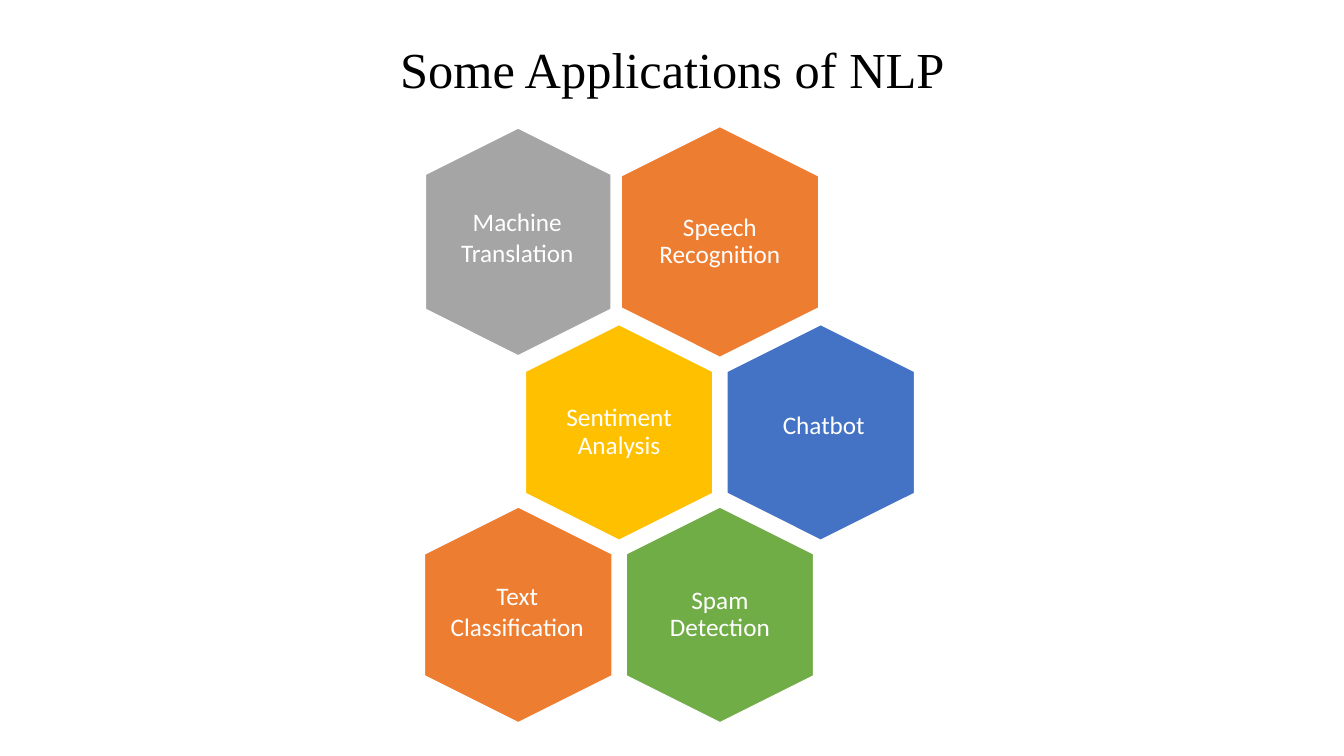
from pptx import Presentation
from pptx.dml.color import RGBColor
from pptx.enum.shapes import MSO_SHAPE
from pptx.enum.text import MSO_ANCHOR, PP_ALIGN
from pptx.util import Inches, Pt

HEXAGON = MSO_SHAPE.HEXAGON
CENTER = PP_ALIGN.CENTER
TOP, MIDDLE = MSO_ANCHOR.TOP, MSO_ANCHOR.MIDDLE

TITLE = "Some Applications of NLP"
SMALL, MEDIUM, LARGE = (2.14, 1.86), (2.26, 1.84), (2.29, 1.96)
TIGHT = {"line_spacing": 0.9, "inset": 0.07}
LOOSE = {"line_spacing": 1.0, "inset": 0.1}

# application, row, half-column, fill, hexagon size, label size, label shift, label style
APPLICATIONS = [
    ("Speech Recognition", 0, 2, "ED7D31", LARGE, (1.36, 1.58), (0, 0), TIGHT),
    ("Machine Translation", 0, 0, "A5A5A5", MEDIUM, (1.42, 0.71), (-0.01, -0.05), LOOSE),
    ("Sentiment Analysis", 1, 1, "FFC000", SMALL, (1.28, 1.47), (0, 0), TIGHT),
    ("Chatbot", 1, 3, "4472C4", SMALL, (1.15, 0.4), (0.03, -0.08), LOOSE),
    ("Spam Detection", 2, 2, "70AD47", SMALL, (1.28, 1.47), (0, 0), TIGHT),
    ("Text Classification", 2, 0, "ED7D31", SMALL, (1.53, 0.71), (-0.01, -0.04), LOOSE),
]
FIRST_X, HALF_COLUMN = 5.14, 1.0
ROW_Y = (2.4, 4.29, 6.1)


def color(hex_code):
    return RGBColor.from_string(hex_code)


def box_around(x, y, size):
    """Return left, top, width and height of a box centred on x, y."""
    width, height = size
    return [Inches(v) for v in (x - width / 2, y - height / 2, width, height)]


def write(shape, text, font, size, hex_code, line_spacing, anchor, inset):
    frame = shape.text_frame
    frame.text = text
    margins = {f"margin_{side}": Inches(inset) for side in ("left", "right")}
    margins.update({f"margin_{side}": Inches(0.05) for side in ("top", "bottom")})
    for name, value in {"word_wrap": True, "vertical_anchor": anchor, **margins}.items():
        setattr(frame, name, value)
    paragraph = frame.paragraphs[0]
    paragraph.alignment = CENTER
    paragraph.line_spacing = line_spacing
    paragraph.font.name = font
    paragraph.font.size = Pt(size)
    paragraph.font.color.rgb = color(hex_code)


def add_hexagon(slide, x, y, size, fill):
    hexagon = slide.shapes.add_shape(HEXAGON, *box_around(x, y, size))
    hexagon.rotation = 90
    hexagon.shadow.inherit = False
    hexagon.fill.solid()
    hexagon.fill.fore_color.rgb = color(fill)
    hexagon.line.color.rgb = color("FFFFFF")
    hexagon.line.width = Pt(1)


def main():
    presentation = Presentation()
    presentation.slide_width = Inches(13.33)
    presentation.slide_height = Inches(7.5)
    slide = presentation.slides.add_slide(presentation.slide_layouts[5])

    title = slide.shapes.title
    place = {"left": 0.92, "top": 0.4, "width": 11.5, "height": 0.89}
    for name, value in place.items():
        setattr(title, name, Inches(value))
    write(title, TITLE, "Times New Roman", 36, "000000", 0.9, TOP, 0.1)

    for name, row, column, fill, size, label_size, shift, style in APPLICATIONS:
        x, y = FIRST_X + column * HALF_COLUMN, ROW_Y[row]
        add_hexagon(slide, x, y, size, fill)
        label = slide.shapes.add_textbox(*box_around(x + shift[0], y + shift[1], label_size))
        write(label, name, "Calibri", 18, "FFFFFF", anchor=MIDDLE, **style)

    presentation.save("out.pptx")


if __name__ == "__main__":
    main()
